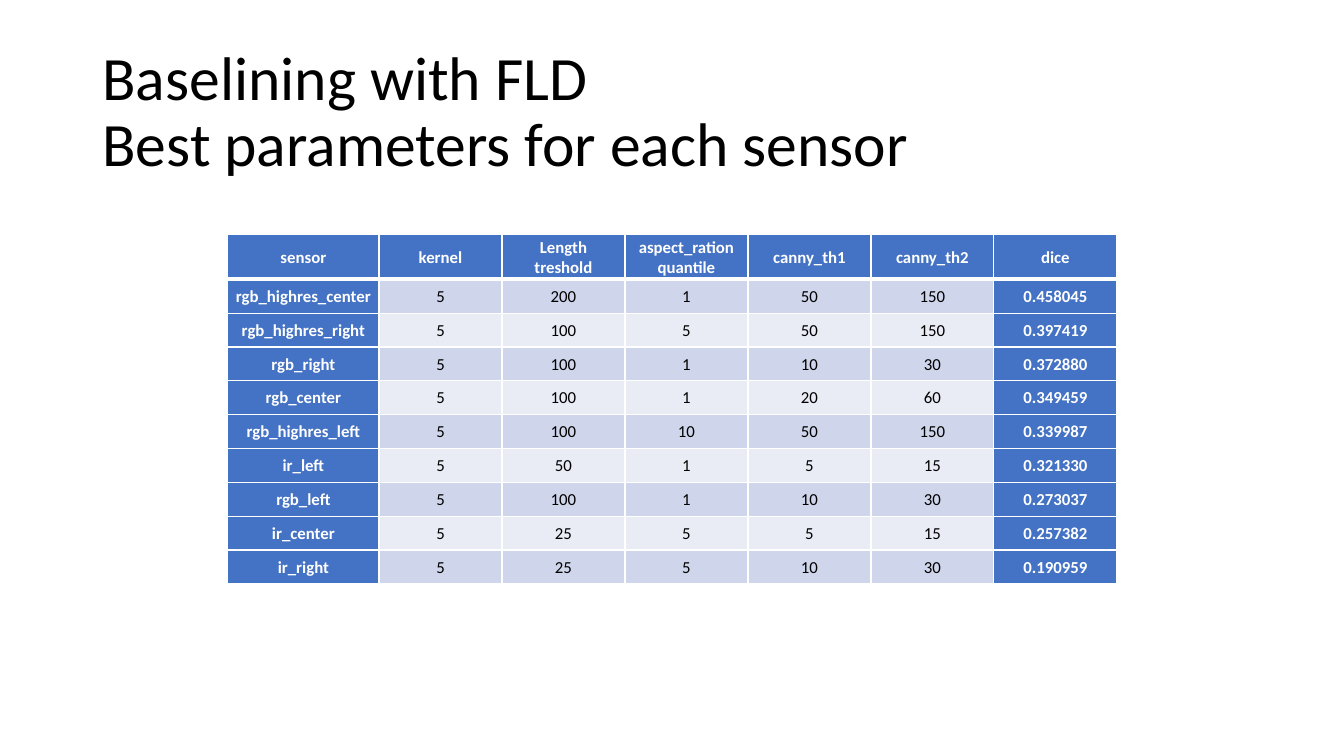
from typing import NamedTuple

from lxml.etree import SubElement
from pptx import Presentation
from pptx.dml.color import RGBColor
from pptx.enum.text import MSO_ANCHOR, MSO_AUTO_SIZE, PP_ALIGN
from pptx.oxml.ns import qn
from pptx.util import Inches, Pt

WIDTH, HEIGHT = Inches(13.33), Inches(7.5)
FONT = "Calibri"
COLORS = {
    "text": "000000",
    "white": "FFFFFF",
    "accent": "4472C4",
    "odd_band": "CFD5EA",
    "even_band": "E9EBF5",
}


class SensorResult(NamedTuple):
    sensor: str
    kernel: int
    length_threshold: int
    aspect_quantile: int
    canny_low: int
    canny_high: int
    dice: str


HEADERS = ["sensor", "kernel", "Length\ntreshold", "aspect_ration\nquantile",
           "canny_th1", "canny_th2", "dice"]
RESULTS = [
    SensorResult("rgb_highres_center", 5, 200, 1, 50, 150, "0.458045"),
    SensorResult("rgb_highres_right", 5, 100, 5, 50, 150, "0.397419"),
    SensorResult("rgb_right", 5, 100, 1, 10, 30, "0.372880"),
    SensorResult("rgb_center", 5, 100, 1, 20, 60, "0.349459"),
    SensorResult("rgb_highres_left", 5, 100, 10, 50, 150, "0.339987"),
    SensorResult("ir_left", 5, 50, 1, 5, 15, "0.321330"),
    SensorResult("rgb_left", 5, 100, 1, 10, 30, "0.273037"),
    SensorResult("ir_center", 5, 25, 5, 5, 15, "0.257382"),
    SensorResult("ir_right", 5, 25, 5, 10, 30, "0.190959"),
]


def across(percent: float) -> int:
    return round(WIDTH * percent / 100)


def down(percent: float) -> int:
    return round(HEIGHT * percent / 100)


def write(frame, text: str, *, size: float, color: str, bold: bool = False,
          align=PP_ALIGN.LEFT, line_spacing: float = 1.0) -> None:
    """Fill a text frame with one paragraph; newlines become line breaks."""
    para = frame.paragraphs[0]
    para.alignment = align
    para.line_spacing = line_spacing
    for index, line in enumerate(text.split("\n")):
        if index:
            para.add_line_break()
        span = para.add_run()
        span.text = line
    para.font.size = Pt(size)
    for span in para.runs:
        span.font.name = FONT
        span.font.size = Pt(size)
        span.font.bold = bold
        span.font.color.rgb = RGBColor.from_string(COLORS[color])


def add_borders(cell, widths: dict[str, float]) -> None:
    """Draw white borders, keyed by side (L, R, T, B), in points."""
    properties = cell._tc.get_or_add_tcPr()
    for side, width in widths.items():
        line = SubElement(properties, qn(f"a:ln{side}"), w=str(Pt(width)))
        fill = SubElement(line, qn("a:solidFill"))
        SubElement(fill, qn("a:srgbClr"), val=COLORS["white"])


def format_cell(cell, text: str, row: int, column: int) -> None:
    emphasised = row == 0 or column in (0, len(HEADERS) - 1)
    band = "odd_band" if row % 2 else "even_band"
    thick_top, thick_bottom = row == 1, row == 0
    add_borders(cell, {"L": 1, "R": 1, "T": 3 if thick_top else 1,
                       "B": 3 if thick_bottom else 1})
    cell.fill.solid()
    cell.fill.fore_color.rgb = RGBColor.from_string(
        COLORS["accent" if emphasised else band])
    cell.margin_left = cell.margin_top = cell.margin_right = Inches(0.01)
    cell.margin_bottom = 0
    cell.vertical_anchor = MSO_ANCHOR.MIDDLE
    write(cell.text_frame, text, size=12, bold=emphasised, align=PP_ALIGN.CENTER,
          color="white" if emphasised else "text")


def add_title(page, text: str) -> None:
    title = page.shapes.title
    title.left, title.top = across(6.88), down(5.33)
    title.width, title.height = across(86.25), down(19.33)
    frame = title.text_frame
    frame.word_wrap = True
    frame.auto_size = MSO_AUTO_SIZE.NONE
    frame.vertical_anchor = MSO_ANCHOR.MIDDLE
    write(frame, text, size=44, color="text", line_spacing=0.9)


def add_results_table(page) -> None:
    rows = [HEADERS, *RESULTS]
    column_widths = [across(11.25)] + [across(9.15)] * (len(HEADERS) - 1)
    row_heights = [down(5.87)] + [down(4.48)] * len(RESULTS)
    table = page.shapes.add_table(
        len(rows), len(HEADERS), across(16.95), down(31.07),
        sum(column_widths), sum(row_heights)).table
    for column, width in zip(table.columns, column_widths):
        column.width = width
    for row, height in zip(table.rows, row_heights):
        row.height = height
    for row_index, values in enumerate(rows):
        for column_index, value in enumerate(values):
            format_cell(table.cell(row_index, column_index), str(value),
                        row_index, column_index)


def main() -> None:
    deck = Presentation()
    deck.slide_width, deck.slide_height = WIDTH, HEIGHT
    page = deck.slides.add_slide(deck.slide_layouts[5])
    add_title(page, "Baselining with FLD\nBest parameters for each sensor")
    add_results_table(page)
    deck.save("out.pptx")


if __name__ == "__main__":
    main()
